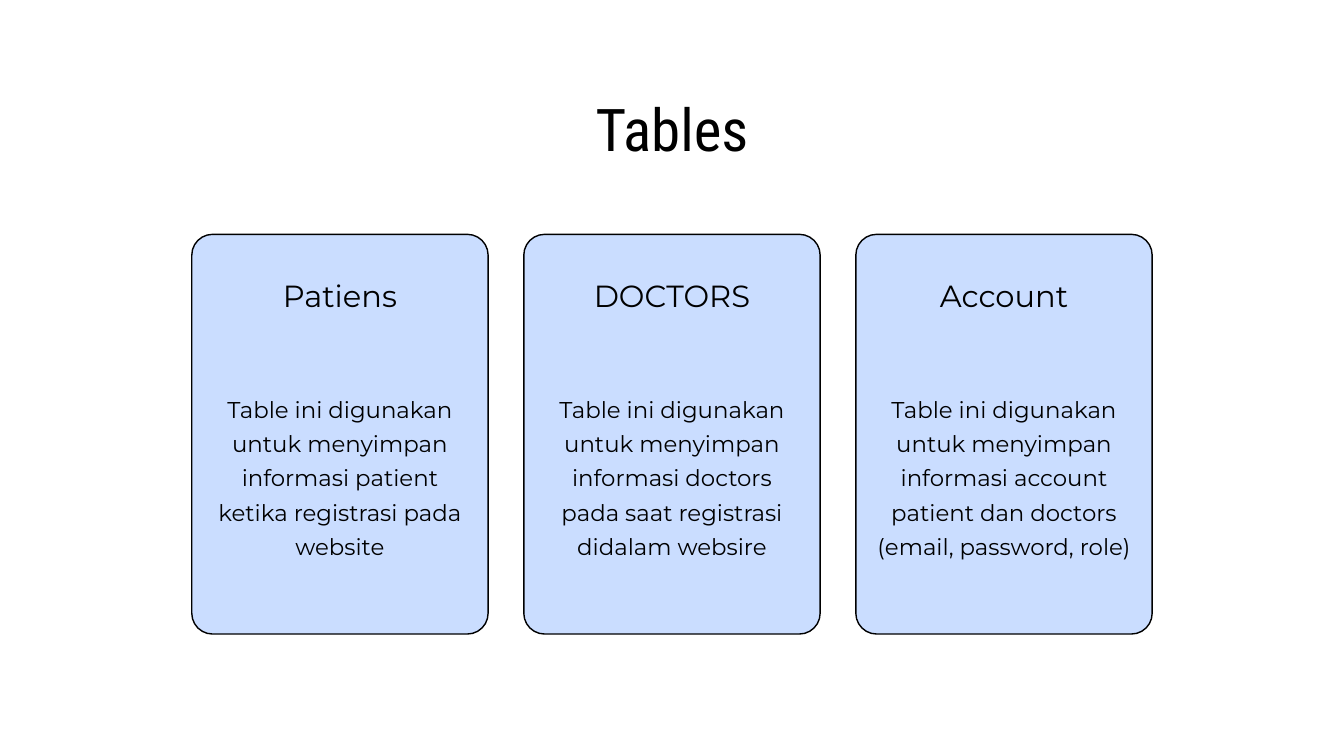
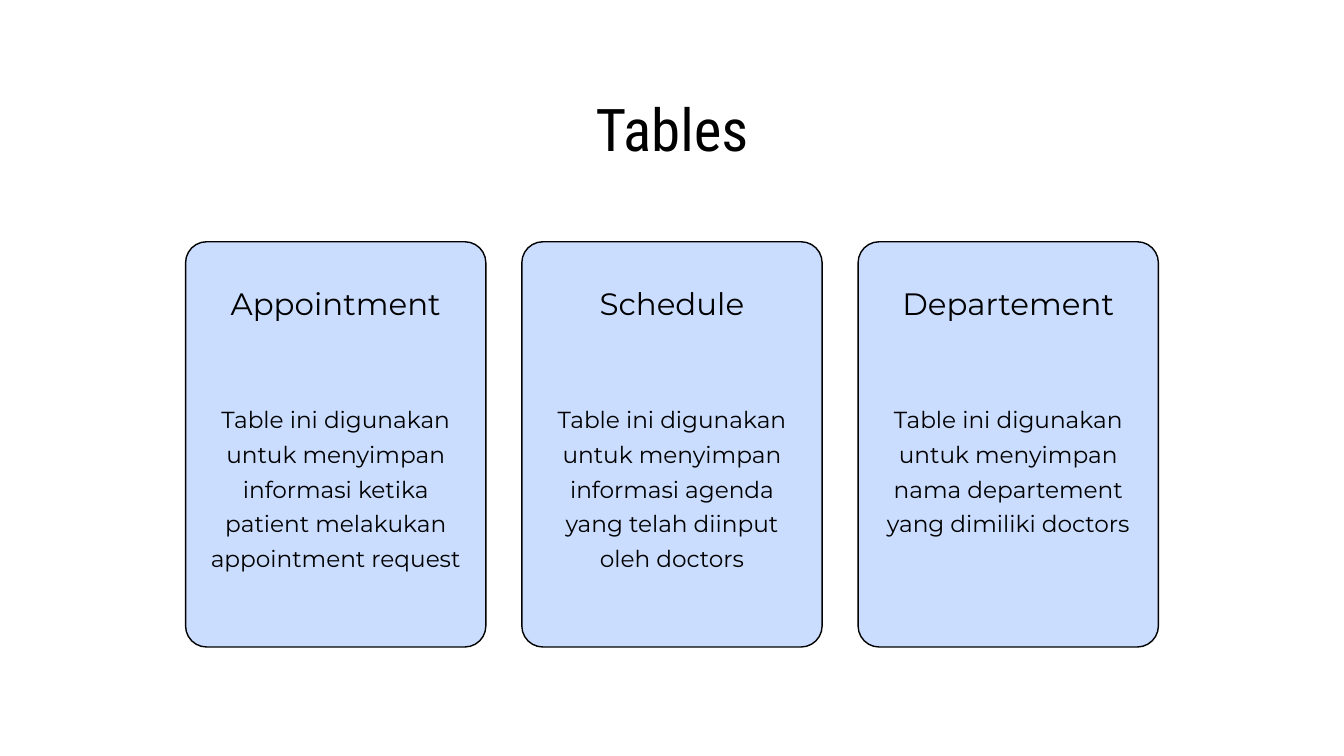
"""Builds two slides that describe the database tables as rows of cards."""
from pptx import Presentation
from pptx.dml.color import RGBColor
from pptx.enum.shapes import MSO_SHAPE
from pptx.enum.text import MSO_AUTO_SIZE, PP_ALIGN
from pptx.util import Cm, Pt

ROUNDED = MSO_SHAPE.ROUNDED_RECTANGLE
CENTER = PP_ALIGN.CENTER
GROW = MSO_AUTO_SIZE.SHAPE_TO_FIT_TEXT

SLIDE_WIDTH, SLIDE_HEIGHT = 50.8, 28.58
MIDDLE = SLIDE_WIDTH / 2
CARD_FILL, INK = "CADDFF", "000000"
CORNER = 0.07

TITLE = "Tables"
TITLE_STYLE = {"font": "Roboto Condensed", "size": 63.1, "spacing": 63.8}
TITLE_PLACE = {"top": 3.94, "width": 24.94, "height": 2.41}

SLIDES = [
    {
        "card": {"top": 8.86, "width": 11.2, "height": 15.11, "pitch": 12.55},
        "name": {"top": 10.34, "width": 8.61, "height": 1.47},
        "name_style": {"font": "Montserrat", "size": 32.7, "spacing": 42.5},
        "purpose": {"top": 14.68, "width": 9.88},
        "purpose_style": {"font": "Montserrat", "size": 24.5, "spacing": 36.8},
        "tables": [
            ("Patiens", "Table ini digunakan untuk menyimpan informasi patient "
                        "ketika registrasi pada website", 5),
            ("DOCTORS", "Table ini digunakan untuk menyimpan informasi doctors "
                        "pada saat registrasi didalam websire", 5),
            ("Account", "Table ini digunakan untuk menyimpan informasi account "
                        "patient dan doctors (email, password, role)", 5),
        ],
    },
    {
        "card": {"top": 9.14, "width": 11.35, "height": 15.32, "pitch": 12.71},
        "name": {"top": 10.64, "width": 8.74, "height": 1.5},
        "name_style": {"font": "Montserrat", "size": 33.1, "spacing": 43.1},
        "purpose": {"top": 15.06, "width": 10.01},
        "purpose_style": {"font": "Montserrat", "size": 24.9, "spacing": 37.3},
        "tables": [
            ("Appointment", "Table ini digunakan untuk menyimpan informasi ketika "
                            "patient melakukan appointment request", 5),
            ("Schedule", "Table ini digunakan untuk menyimpan informasi agenda "
                         "yang telah diinput oleh doctors", 5),
            ("Departement", "Table ini digunakan untuk menyimpan nama departement "
                            "yang dimiliki doctors", 4),
        ],
    },
]


def color(hex_code):
    return RGBColor.from_string(hex_code)


def centered_box(center, top, width, height):
    return Cm(center - width / 2), Cm(top), Cm(width), Cm(height)


def add_text(slide, text, style, center, top, width, height):
    box = slide.shapes.add_textbox(*centered_box(center, top, width, height))
    frame = box.text_frame
    frame_format = {"margin_left": 0, "margin_top": 0, "margin_right": 0,
                    "margin_bottom": 0, "word_wrap": True, "auto_size": GROW}
    for attribute, value in frame_format.items():
        setattr(frame, attribute, value)
    paragraph = frame.paragraphs[0]
    paragraph.alignment = CENTER
    paragraph.line_spacing = Pt(style["spacing"])
    run = paragraph.add_run()
    run.text = text
    run.font.name = style["font"]
    run.font.size = Pt(style["size"])
    run.font.color.rgb = color(INK)


def add_card(slide, center, top, width, height):
    card = slide.shapes.add_shape(ROUNDED, *centered_box(center, top, width, height))
    card.adjustments[0] = CORNER
    card.shadow.inherit = False
    card.fill.solid()
    card.fill.fore_color.rgb = color(CARD_FILL)
    card.line.color.rgb = color(INK)
    card.line.width = Pt(1.5)


def add_tables_slide(presentation, content):
    slide = presentation.slides.add_slide(presentation.slide_layouts[6])
    add_text(slide, TITLE, TITLE_STYLE, MIDDLE, **TITLE_PLACE)
    card = content["card"]
    purpose_style = content["purpose_style"]
    middle_index = (len(content["tables"]) - 1) / 2
    for index, (name, purpose, lines) in enumerate(content["tables"]):
        center = MIDDLE + (index - middle_index) * card["pitch"]
        add_card(slide, center, card["top"], card["width"], card["height"])
        add_text(slide, name, content["name_style"], center, **content["name"])
        purpose_height = Pt(lines * purpose_style["spacing"]).cm
        add_text(slide, purpose, purpose_style, center,
                 height=purpose_height, **content["purpose"])


def main():
    presentation = Presentation()
    presentation.slide_width = Cm(SLIDE_WIDTH)
    presentation.slide_height = Cm(SLIDE_HEIGHT)
    for content in SLIDES:
        add_tables_slide(presentation, content)
    presentation.save("out.pptx")


if __name__ == "__main__":
    main()
